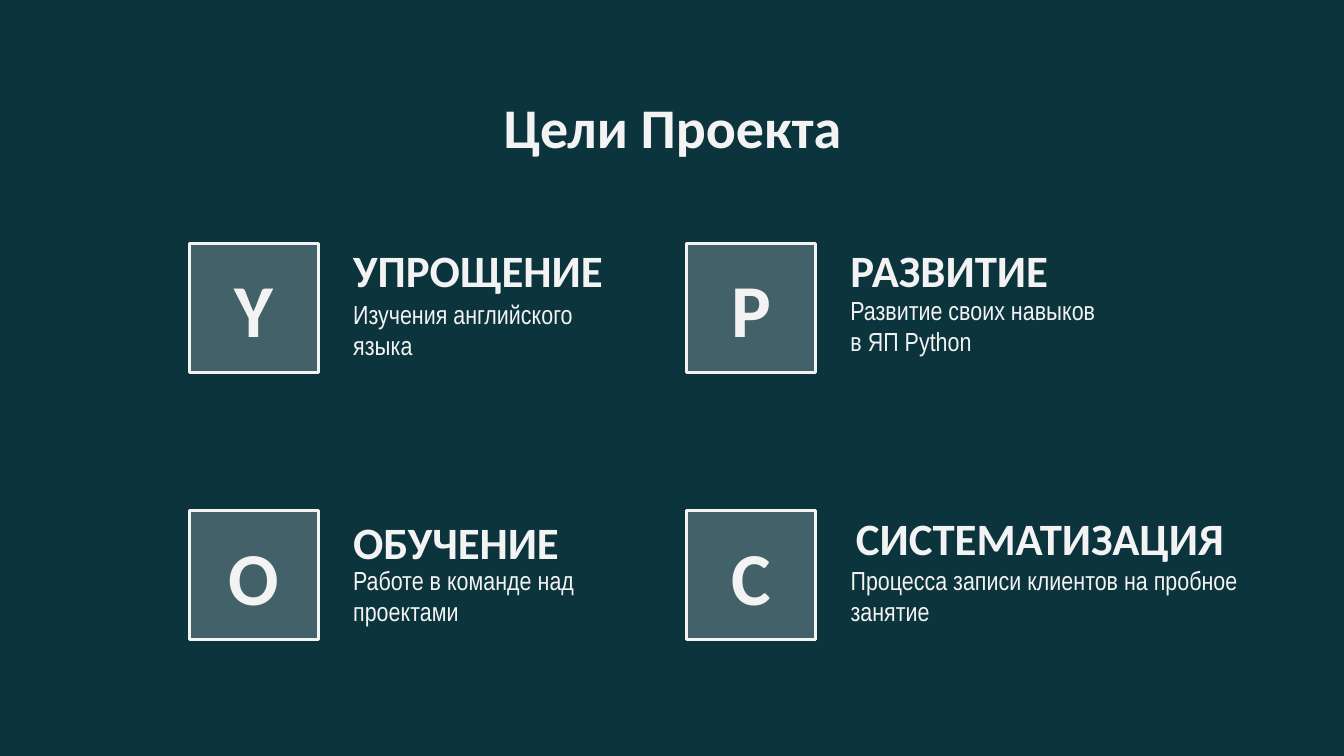
from lxml.etree import SubElement
from pptx import Presentation
from pptx.dml.color import RGBColor
from pptx.enum.shapes import MSO_SHAPE
from pptx.enum.text import MSO_ANCHOR, PP_ALIGN
from pptx.oxml.ns import qn
from pptx.util import Inches, Pt

DARK = RGBColor(0x0C, 0x34, 0x3D)
LIGHT = RGBColor(0xF3, 0xF3, 0xF3)

TITLE = "Цели Проекта"
# letter, heading, description, text width, heading offset (x, y), description y offset
GOALS = [
    ("Y", "УПРОЩЕНИЕ", "Изучения английского\vязыка", 2.36, (0, 0), 0.31),
    ("P", "РАЗВИТИЕ", "Развитие своих навыков\vв ЯП Python", 2.36, (0, 0), 0.28),
    ("O", "ОБУЧЕНИЕ", "Работе в команде над\vпроектами", 2.36, (0, 0.03), 0.3),
    ("C", "СИСТЕМАТИЗАЦИЯ", "Процесса записи клиентов на пробное занятие",
     3.59, (0.04, 0), 0.3),
]
WIDTH = 10
HEIGHT = WIDTH * 9 / 16
COLUMNS, LEFT, TOP = 2, 1.41, 1.81
COLUMN_STEP, ROW_STEP = 3.7, 1.99
TILE, TEXT_OFFSET = 0.96, 1.12


def set_text(s, text, size, font="Calibri", bold=True,
             align=PP_ALIGN.LEFT, anchor=MSO_ANCHOR.TOP):
    tf = s.text_frame
    tf.word_wrap = True
    tf.vertical_anchor = anchor
    tf.margin_left = tf.margin_right = Inches(0.1)
    tf.margin_top = tf.margin_bottom = Inches(0.1)
    p = tf.paragraphs[0]
    p.text = text
    p.alignment = align
    for r in p.runs:
        r.font.name = font
        r.font.size = Pt(size)
        r.font.bold = bold
        r.font.color.rgb = LIGHT


def add_text(slide, x, y, w, h, text, size, **style):
    s = slide.shapes.add_textbox(Inches(x), Inches(y), Inches(w), Inches(h))
    set_text(s, text, size, **style)


def add_tile(slide, x, y, letter):
    s = slide.shapes.add_shape(MSO_SHAPE.ROUNDED_RECTANGLE,
                               Inches(x), Inches(y), Inches(TILE), Inches(TILE))
    s.adjustments[0] = 0
    s.shadow.inherit = False
    s.fill.solid()
    s.fill.fore_color.rgb = LIGHT
    color = s.fill._xPr.find(qn("a:solidFill"))[0]
    SubElement(color, qn("a:alpha"), val="24000")
    s.line.color.rgb = LIGHT
    s.line.width = Pt(1.5)
    set_text(s, letter, 40, align=PP_ALIGN.CENTER, anchor=MSO_ANCHOR.MIDDLE)


def main():
    prs = Presentation()
    prs.slide_width, prs.slide_height = Inches(WIDTH), Inches(HEIGHT)
    slide = prs.slides.add_slide(prs.slide_layouts[6])
    slide.background.fill.solid()
    slide.background.fill.fore_color.rgb = DARK

    add_text(slide, 0.79, 0.59, 8.43, 0.63, TITLE, 30, align=PP_ALIGN.CENTER)
    for i, (letter, heading, description, width, (dx, dy), drop) in enumerate(GOALS):
        row, column = divmod(i, COLUMNS)
        x, y = LEFT + column * COLUMN_STEP, TOP + row * ROW_STEP
        text_x = x + TEXT_OFFSET
        add_tile(slide, x, y, letter)
        add_text(slide, text_x + dx, y + dy, width, 0.5, heading, 24,
                 anchor=MSO_ANCHOR.BOTTOM)
        add_text(slide, text_x, y + drop, width, 0.6, description, 14,
                 font="Arial Narrow", bold=False)
    prs.save("out.pptx")


if __name__ == "__main__":
    main()
